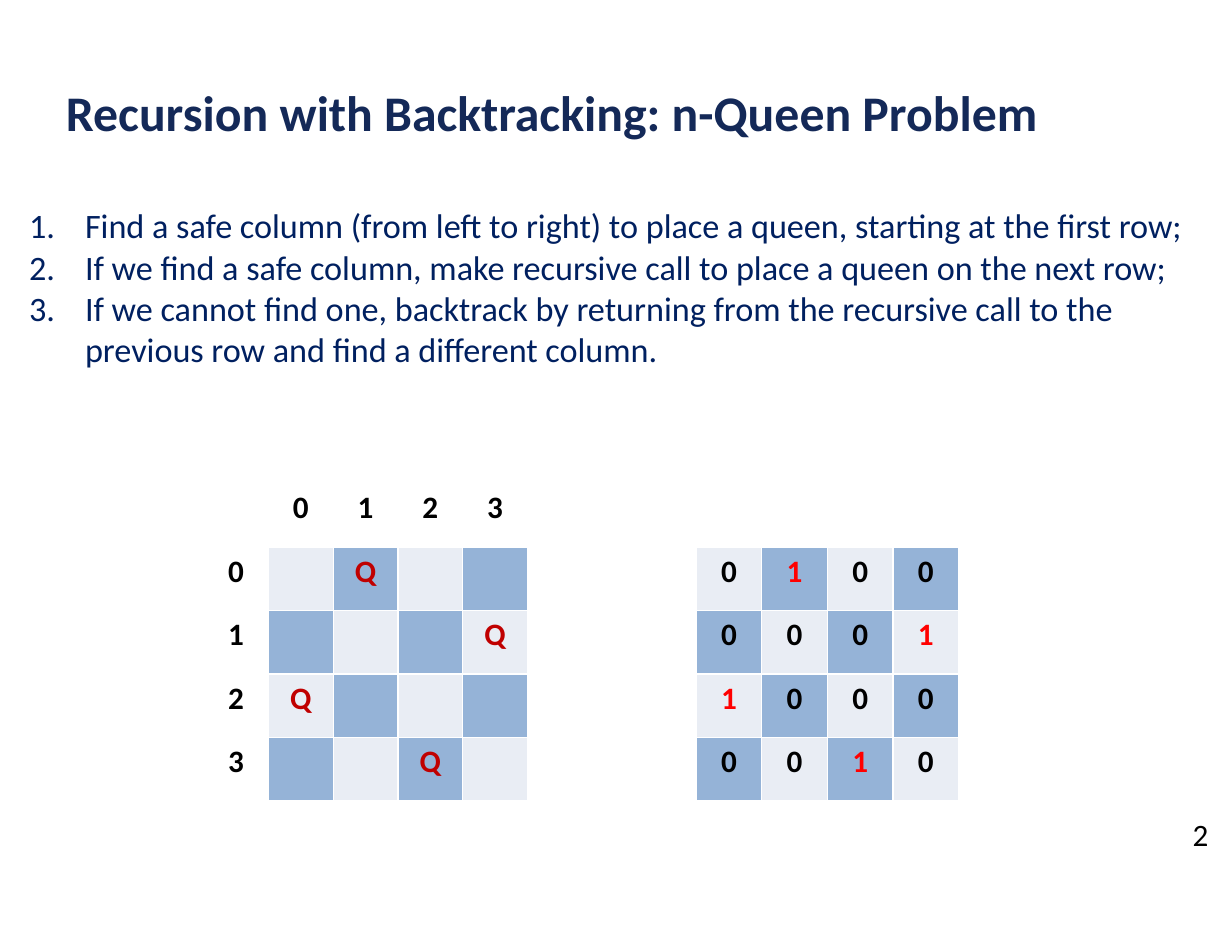
import pptx
import pptx.dml.color
import pptx.enum.text
import pptx.oxml
import pptx.oxml.ns
import pptx.util
from pptx.util import Cm

RGBColor = pptx.dml.color.RGBColor
TITLE_BLUE = RGBColor(0x14, 0x29, 0x58)
TEXT_BLUE = RGBColor(0x00, 0x20, 0x60)
BLACK = RGBColor(0x00, 0x00, 0x00)
QUEEN_RED = RGBColor(0xC0, 0x00, 0x00)
ONE_RED = RGBColor(0xFF, 0x00, 0x00)
LIGHT_SQUARE = RGBColor(0xE9, 0xED, 0xF4)
DARK_SQUARE = RGBColor(0x95, 0xB3, 0xD7)
WHITE = RGBColor(0xFF, 0xFF, 0xFF)

ALIGN = pptx.enum.text.PP_ALIGN
STEPS = [
    "Find a safe column (from left to right) to place a queen, starting at the first row;",
    "If we find a safe column, make recursive call to place a queen on the next row;",
    "If we cannot find one, backtrack by returning from the recursive call to the "
    "previous row and find a different column.",
]
QUEEN_COLUMNS = [1, 3, 0, 2]
SIZE = len(QUEEN_COLUMNS)


def write(para, text, size=20, color=BLACK, bold=False, align=ALIGN.LEFT, font="Calibri"):
    """Put one formatted span of text into a paragraph."""
    para.alignment = align
    span = para.add_run()
    span.text = text
    span.font.name = font
    span.font.size = pptx.util.Pt(size)
    span.font.bold = bold
    span.font.color.rgb = color


def number_paragraph(para, indent):
    """Give a paragraph automatic numbering with a hanging indent."""
    properties = para._p.get_or_add_pPr()
    properties.set("marL", str(indent))
    properties.set("indent", str(-indent))
    properties.append(pptx.oxml.parse_xml(
        f'<a:buAutoNum {pptx.oxml.ns.nsdecls("a")} type="arabicPeriod"/>'))


def border_cell(cell, color=WHITE, width=pptx.util.Pt(1)):
    """Draw a thin line on all four sides of a table cell."""
    properties = cell._tc.get_or_add_tcPr()
    for index, side in enumerate("LRTB"):
        properties.insert(index, pptx.oxml.parse_xml(
            f'<a:ln{side} {pptx.oxml.ns.nsdecls("a")} w="{int(width)}">'
            f'<a:solidFill><a:srgbClr val="{color}"/></a:solidFill></a:ln{side}>'))


class QueenSlide:
    """Holds the deck, its current page and the shared style."""

    def __init__(self):
        """Start a deck with one title-only page."""
        self.deck = pptx.Presentation()
        self.deck.slide_width = Cm(27.94)
        self.deck.slide_height = Cm(21.59)
        self.page = self.deck.slides.add_slide(self.deck.slide_layouts[5])

    def title(self, text, left, top, width, height):
        """Place and fill the title placeholder."""
        box = self.page.shapes.title
        box.left, box.top, box.width, box.height = left, top, width, height
        frame = box.text_frame
        frame.vertical_anchor = pptx.enum.text.MSO_ANCHOR.TOP
        frame.auto_size = pptx.enum.text.MSO_AUTO_SIZE.NONE
        write(frame.paragraphs[0], text, size=32, color=TITLE_BLUE, bold=True)

    def text(self, lines, left, top, width, height, wrap=True, numbered=False, **style):
        """Add a text box with one paragraph per line."""
        frame = self.page.shapes.add_textbox(left, top, width, height).text_frame
        frame.word_wrap = wrap
        for index, line in enumerate(lines):
            para = frame.add_paragraph() if index else frame.paragraphs[0]
            write(para, line, **style)
            if numbered:
                number_paragraph(para, Cm(1.27))

    def board(self, left, top, width, height, entry):
        """Add a chessboard table; entry gives a cell's text and colour.

        Row and column -1 are the margin that carries the labels.
        """
        count = SIZE + 1
        table = self.page.shapes.add_table(count, count, left, top, width, height).table
        table.first_row = table.horz_banding = False
        for row in range(-1, SIZE):
            for column in range(-1, SIZE):
                cell = table.cell(row + 1, column + 1)
                if min(row, column) < 0:
                    cell.fill.background()
                else:
                    cell.fill.solid()
                    cell.fill.fore_color.rgb = (
                        DARK_SQUARE if (row + column) % 2 else LIGHT_SQUARE)
                border_cell(cell)
                text, color = entry(row, column)
                if text:
                    write(cell.text_frame.paragraphs[0], text, color=color,
                          bold=True, align=ALIGN.CENTER)


def queen_entry(row, column):
    """Return labels in the margin and a Q on each queen's square."""
    if min(row, column) < 0:
        label = max(row, column)
        return (str(label) if label >= 0 else ""), BLACK
    return ("Q" if QUEEN_COLUMNS[row] == column else ""), QUEEN_RED


def matrix_entry(row, column):
    """Return 1 on each queen's square and 0 on the others."""
    if min(row, column) < 0:
        return "", BLACK
    return ("1", ONE_RED) if QUEEN_COLUMNS[row] == column else ("0", BLACK)


def main():
    """Build and save the slide."""
    slide = QueenSlide()
    slide.title("Recursion with Backtracking: n-Queen Problem",
                Cm(1.24), Cm(1.73), Cm(25.68), Cm(2.06))
    slide.text(STEPS, Cm(0.41), Cm(4.52), Cm(27.28), Cm(13.41),
               numbered=True, size=22, color=TEXT_BLUE)
    slide.text(["2"], Cm(26.8), Cm(18.36), Cm(0.86), Cm(1.12), wrap=False)
    slide.board(Cm(4.62), Cm(10.97), Cm(7.34), Cm(7.19), queen_entry)
    slide.board(Cm(14.3), Cm(10.97), Cm(7.44), Cm(7.19), matrix_entry)
    slide.deck.save("out.pptx")


main()
